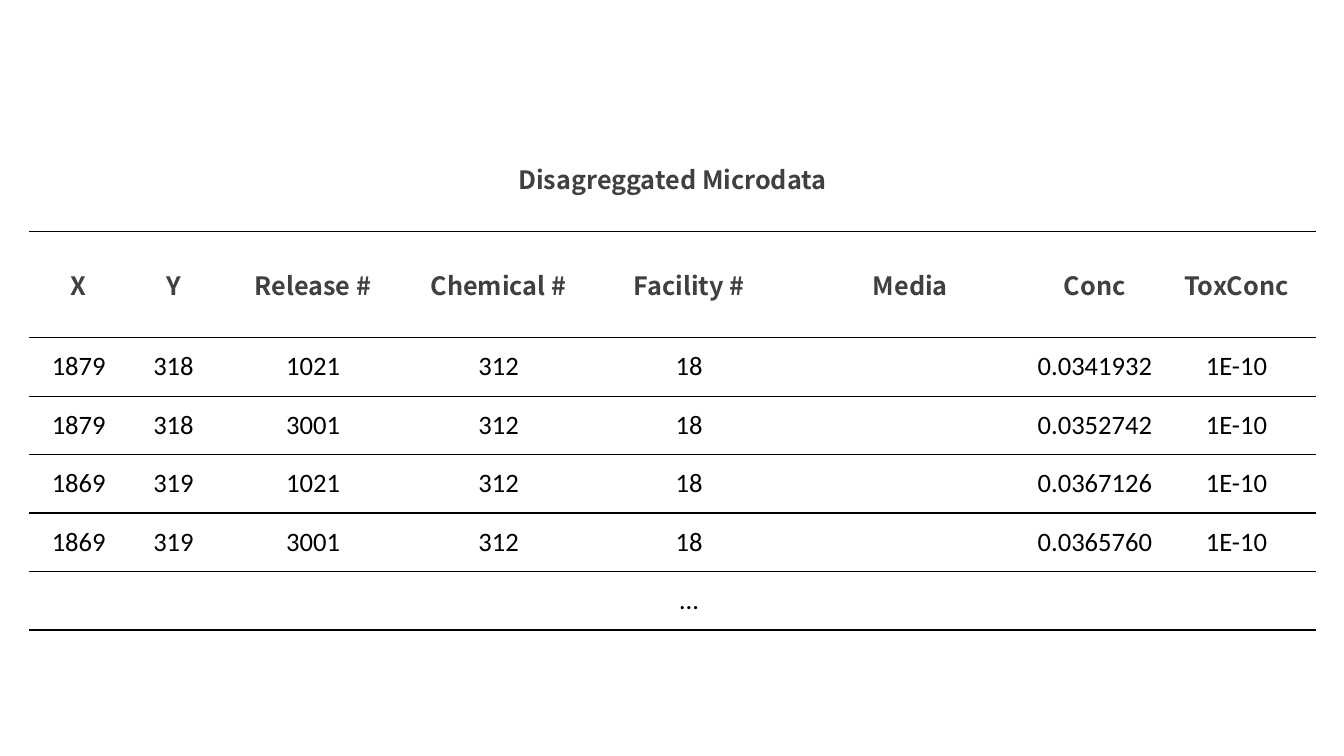
from lxml import etree
from pptx import Presentation
from pptx.dml.color import RGBColor
from pptx.enum.text import MSO_ANCHOR, PP_ALIGN
from pptx.oxml.ns import qn
from pptx.util import Inches, Pt

CENTER = PP_ALIGN.CENTER
MIDDLE = MSO_ANCHOR.MIDDLE
BLANK_LAYOUT = 6

COLORS = {"heading": "404040", "value": "000000", "rule": "000000"}
HEADING_STYLE = ("Noto Sans CJK SC", 18, True, COLORS["heading"])
VALUE_STYLE = ("Calibri", 19, False, COLORS["value"])

TITLE = "Disagreggated Microdata"
HEADINGS = ["X", "Y", "Release #", "Chemical #", "Facility #", "Media", "Conc", "ToxConc"]
RECORDS = [
    ["1879", "318", "1021", "312", "18", "", "0.0341932", "1E-10"],
    ["1879", "318", "3001", "312", "18", "", "0.0352742", "1E-10"],
    ["1869", "319", "1021", "312", "18", "", "0.0367126", "1E-10"],
    ["1869", "319", "3001", "312", "18", "", "0.0365760", "1E-10"],
    ["", "", "", "", "…", "", "", ""],
]
COLUMN_WIDTHS = [0.98, 0.9, 1.87, 1.81, 1.97, 2.42, 1.24, 1.57]
HEADING_HEIGHT, RECORD_HEIGHT = 1.05, 0.58


def set_borders(cell, ruled_sides):
    """Draw a thin rule on the given sides and hide the other borders."""
    properties = cell._tc.get_or_add_tcPr()
    for position, side in enumerate("LRTB"):
        border = etree.Element(qn(f"a:ln{side}"), w=str(Pt(1)))
        if side in ruled_sides:
            fill = etree.SubElement(border, qn("a:solidFill"))
            etree.SubElement(fill, qn("a:srgbClr"), val=COLORS["rule"])
        else:
            etree.SubElement(border, qn("a:noFill"))
        properties.insert(position, border)


def write_cell(cell, text, style):
    font_name, size, bold, color = style
    cell.text = text
    cell.vertical_anchor = MIDDLE
    paragraph = cell.text_frame.paragraphs[0]
    paragraph.alignment = CENTER
    for run in paragraph.runs:
        run.font.name = font_name
        run.font.size = Pt(size)
        run.font.bold = bold
        run.font.color.rgb = RGBColor.from_string(color)


def set_record_margins(cell):
    cell.margin_left = cell.margin_right = Inches(0.03)
    cell.margin_top = cell.margin_bottom = Inches(0.02)


def add_microdata_table(slide):
    title_row = [TITLE] + [""] * (len(HEADINGS) - 1)
    rows = [title_row, HEADINGS] + RECORDS
    heights = [HEADING_HEIGHT] * 2 + [RECORD_HEIGHT] * len(RECORDS)
    microdata = slide.shapes.add_table(
        len(rows), len(HEADINGS), Inches(0.29), Inches(1.25),
        Inches(sum(COLUMN_WIDTHS)), Inches(sum(heights))).table
    microdata.first_row = microdata.horz_banding = False

    # Column and row sizes
    for column, width in zip(microdata.columns, COLUMN_WIDTHS):
        column.width = Inches(width)
    for row, height in zip(microdata.rows, heights):
        row.height = Inches(height)

    # Cells: title and headings first, then the records
    for row_index, texts in enumerate(rows):
        is_record = row_index > 1
        for column_index, text in enumerate(texts):
            cell = microdata.cell(row_index, column_index)
            write_cell(cell, text, VALUE_STYLE if is_record else HEADING_STYLE)
            cell.fill.background()
            set_borders(cell, "TB" if row_index else "B")
            if is_record:
                set_record_margins(cell)

    # The title spans every column
    microdata.cell(0, 0).merge(microdata.cell(0, len(HEADINGS) - 1))


def main():
    presentation = Presentation()
    presentation.slide_width = Inches(13.33)
    presentation.slide_height = Inches(7.5)
    slide = presentation.slides.add_slide(presentation.slide_layouts[BLANK_LAYOUT])
    add_microdata_table(slide)
    presentation.save("out.pptx")


if __name__ == "__main__":
    main()
